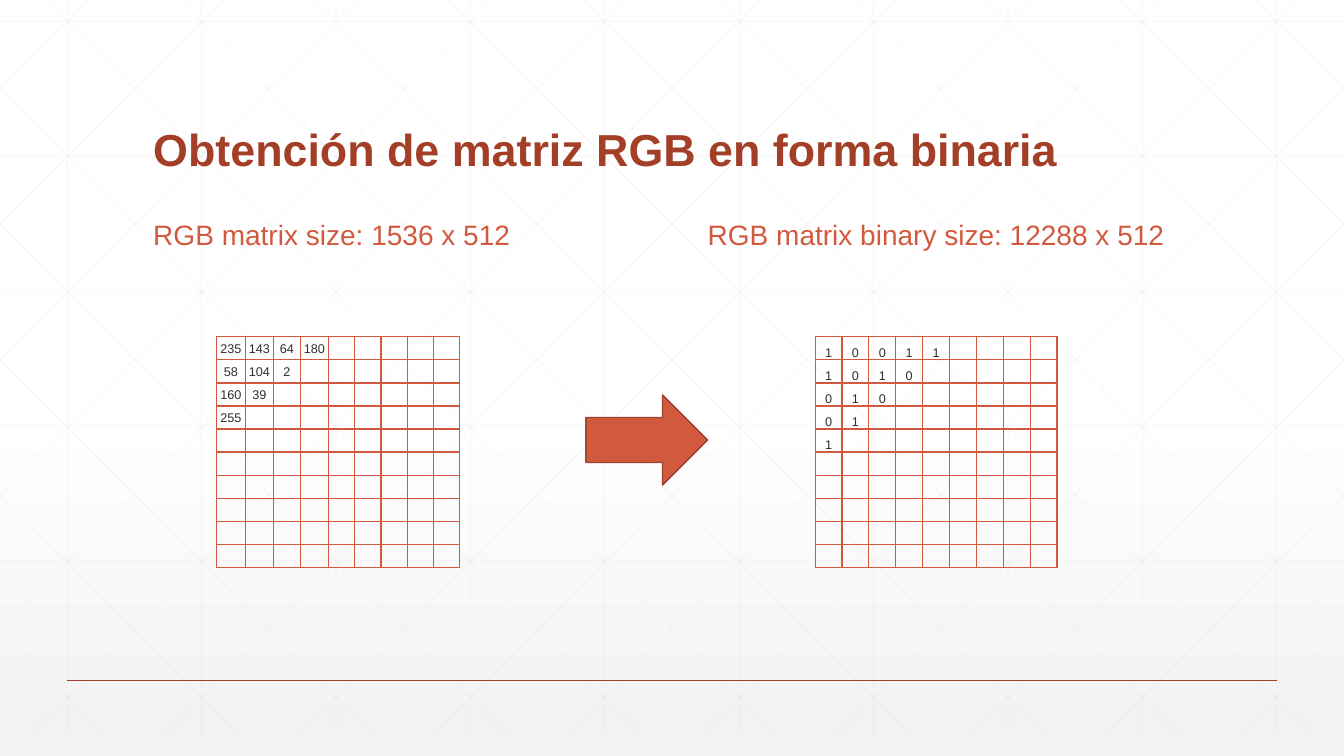
from dataclasses import dataclass

from lxml.etree import SubElement
from pptx import Presentation
from pptx.dml.color import RGBColor
from pptx.enum.shapes import MSO_CONNECTOR, MSO_SHAPE
from pptx.enum.text import MSO_ANCHOR, MSO_AUTO_SIZE, PP_ALIGN
from pptx.oxml.ns import qn
from pptx.util import Inches, Pt


@dataclass(frozen=True)
class Theme:
    font: str = "Arial"
    dark_red: str = "A43F27"
    red: str = "D15A3E"
    outline: str = "9B432E"
    ink: str = "2D2E2D"
    mesh: str = "D9D9D9"
    paper: str = "FFFFFF"
    paper_end: str = "F2F2F2"
    title_size: int = 32
    heading_size: int = 20
    cell_size: int = 9


def write(frame, text, *, size, color, font, bold=False,
          align=PP_ALIGN.LEFT, spacing=None):
    """Put one formatted paragraph in a text frame."""
    para = frame.paragraphs[0]
    para.alignment = align
    if spacing:
        para.line_spacing = spacing
    if not text:
        # An empty cell keeps the small size, so its row stays low
        SubElement(para._p, qn("a:endParaRPr"), sz=str(size * 100))
        return
    span = para.add_run()
    span.text = text
    span.font.name = font
    span.font.size = Pt(size)
    span.font.bold = bold
    span.font.color.rgb = RGBColor.from_string(color)


class PageBuilder:
    """Places elements on a grid of 20 columns by 20 rows."""

    COLUMNS = ROWS = 20

    def __init__(self, deck, theme):
        self.theme = theme
        self.column = deck.slide_width / self.COLUMNS
        self.row = deck.slide_height / self.ROWS
        self.page = deck.slides.add_slide(deck.slide_layouts.get_by_name("Comparison"))

    def across(self, columns):
        return round(columns * self.column)

    def down(self, rows):
        return round(rows * self.row)

    def area(self, left, top, width, height):
        return self.across(left), self.down(top), self.across(width), self.down(height)

    def background(self):
        fill = self.page.background.fill
        fill.gradient()
        fill.gradient_angle = 270
        stops = ((0.53, self.theme.paper), (1, self.theme.paper_end))
        for stop, (position, color) in zip(fill.gradient_stops, stops):
            stop.position = position
            stop.color.rgb = RGBColor.from_string(color)

    def line(self, start, end, color, width, opacity=None):
        connector = self.page.shapes.add_connector(
            MSO_CONNECTOR.STRAIGHT, self.across(start[0]), self.down(start[1]),
            self.across(end[0]), self.down(end[1]))
        connector.line.color.rgb = RGBColor.from_string(color)
        connector.line.width = Pt(width)
        element = connector._element
        SubElement(element.spPr, qn("a:effectLst"))
        if opacity:
            tint = next(element.iter(qn("a:srgbClr")))
            SubElement(tint, qn("a:alpha"), val=str(opacity * 1000))
        # Lines lie behind the text
        element.getparent().insert(2, element)

    def placeholder(self, index, text, area, anchor, **style):
        box = self.page.placeholders[index]
        box.left, box.top, box.width, box.height = self.area(*area)
        frame = box.text_frame
        frame.word_wrap = True
        frame.auto_size = MSO_AUTO_SIZE.NONE
        frame.vertical_anchor = anchor
        write(frame, text, font=self.theme.font, spacing=0.9, **style)

    def remove_empty_placeholders(self):
        for box in list(self.page.placeholders):
            if not box.has_text_frame or not box.text_frame.text:
                box._element.getparent().remove(box._element)

    def arrow(self, area):
        arrow = self.page.shapes.add_shape(MSO_SHAPE.RIGHT_ARROW, *self.area(*area))
        arrow.shadow.inherit = False
        arrow.fill.solid()
        arrow.fill.fore_color.rgb = RGBColor.from_string(self.theme.red)
        arrow.line.color.rgb = RGBColor.from_string(self.theme.outline)
        arrow.line.width = Pt(1)

    def border(self, cell):
        properties = cell._tc.get_or_add_tcPr()
        for side in ("lnL", "lnR", "lnT", "lnB"):
            edge = SubElement(properties, qn(f"a:{side}"), w=str(Pt(1)))
            fill = SubElement(edge, qn("a:solidFill"))
            SubElement(fill, qn("a:srgbClr"), val=self.theme.red)

    def matrix(self, left, top, widths, row_height, row_count, values, anchor):
        area = self.area(left, top, sum(widths), row_height * row_count)
        table = self.page.shapes.add_table(row_count, len(widths), *area).table
        table.first_row = table.horz_banding = False
        for column, width in zip(table.columns, widths):
            column.width = self.across(width)
        for number, row in enumerate(table.rows):
            row.height = self.down(row_height)
            known = values[number].split() if number < len(values) else []
            known += [""] * (len(widths) - len(known))
            for cell, text in zip(row.cells, known):
                cell.margin_left = cell.margin_right = cell.margin_top = Inches(0.01)
                cell.margin_bottom = 0
                cell.vertical_anchor = anchor
                self.border(cell)
                cell.fill.background()
                write(cell.text_frame, text, size=self.theme.cell_size,
                      color=self.theme.ink, font=self.theme.font,
                      align=PP_ALIGN.CENTER)

    def mesh(self):
        top, bottom, run = -0.56, 19.44, 11.18
        slope = (bottom - top) / run
        segments = [((x, top), (x, bottom)) for x in range(1, self.COLUMNS, 2)]
        for number in range(6):
            y = 0.56 + 3.57 * number
            segments.append(((0, y), (self.COLUMNS, y)))
        # Diagonals are cut at the page sides, then mirrored
        for number in range(-5, 10):
            origin = 0.37 + 2 * number
            first, last = max(origin, 0), min(origin + run, self.COLUMNS)
            start, end = ((x, top + (x - origin) * slope) for x in (first, last))
            segments.append((start, end))
            segments.append(tuple((self.COLUMNS - x, y) for x, y in (start, end)))
        for start, end in segments:
            self.line(start, end, self.theme.mesh, 0.5, opacity=25)


def main():
    deck = Presentation()
    deck.slide_width, deck.slide_height = Inches(13.33), Inches(7.5)
    theme = Theme()
    builder = PageBuilder(deck, theme)

    # Backdrop and footer rule
    builder.background()
    builder.line((1, 18), (19, 18), theme.dark_red, 1)
    builder.mesh()

    # Title and headings
    builder.placeholder(0, "Obtención de matriz RGB en forma binaria",
                        (2.13, 1.47, 15.75, 3.33), MSO_ANCHOR.BOTTOM,
                        size=theme.title_size, color=theme.dark_red, bold=True)
    headings = ((1, 2.13, "RGB matrix size: 1536 x 512"),
                (3, 10.38, "RGB matrix binary size: 12288 x 512"))
    for index, left, text in headings:
        builder.placeholder(index, text, (left, 5.31, 7.5, 1.87), MSO_ANCHOR.MIDDLE,
                            size=theme.heading_size, color=theme.red)
    builder.remove_empty_placeholders()

    # Decimal matrix, arrow, binary matrix
    builder.arrow((8.72, 10.45, 1.81, 2.38))
    decimal = ("235 143 64 180", "58 104 2", "160 39", "255")
    binary = ("1 0 0 1 1", "1 0 1 0", "0 1 0", "0 1", "1")
    decimal_widths = [0.43, 0.42, 0.4, 0.42] + [0.39] * 5
    matrices = ((3.22, decimal_widths, decimal, MSO_ANCHOR.MIDDLE),
                (12.13, [0.4] * 9, binary, MSO_ANCHOR.BOTTOM))
    for left, widths, values, anchor in matrices:
        builder.matrix(left, 8.91, widths, 0.61, 10, values, anchor)

    deck.save("out.pptx")


if __name__ == "__main__":
    main()
